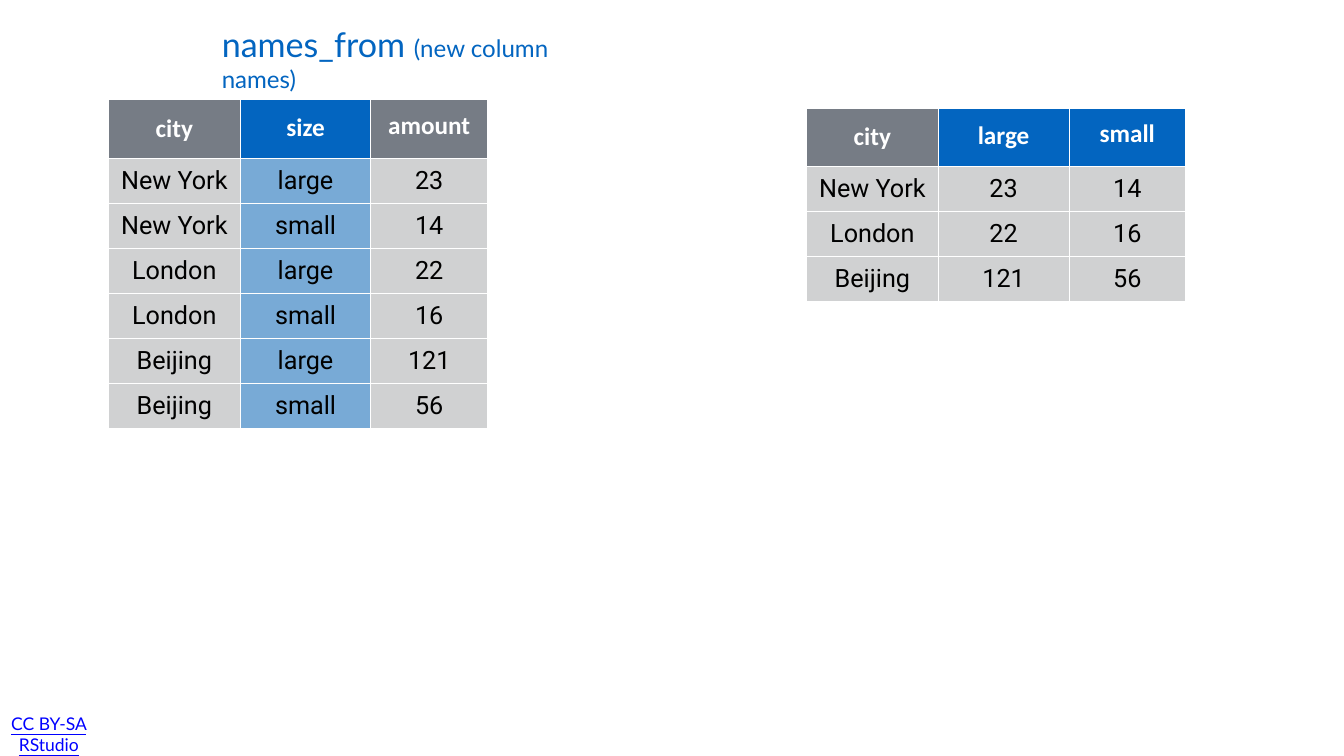
from lxml import etree
from pptx import Presentation
from pptx.dml.color import RGBColor
from pptx.enum.text import MSO_ANCHOR, PP_ALIGN
from pptx.oxml.ns import qn
from pptx.util import Inches, Pt

MIDDLE = MSO_ANCHOR.MIDDLE
CENTER = PP_ALIGN.CENTER
LEFT = PP_ALIGN.LEFT
BLUE, PALE = "0365C0", "78AAD6"
SLATE, GREY = "767C85", "D0D1D2"
WHITE, BLACK, LINK = "FFFFFF", "000000", "0000FF"
color = RGBColor.from_string

deck = Presentation()
deck.slide_width = Inches(26.67)
deck.slide_height = Inches(15)
slide = deck.slides.add_slide(deck.slide_layouts[6])
col = deck.slide_width / 100
row = deck.slide_height / 100


def write(para, text, font="Lato", size=36, ink=BLACK, bold=False,
          under=False, align=CENTER, lead=None):
    para.alignment = align
    if lead:
        para.line_spacing = lead
    run = para.add_run()
    run.text = text
    run.font.name = font
    run.font.size = Pt(size)
    run.font.bold = bold
    run.font.underline = under
    run.font.color.rgb = color(ink)


def frame(x, y, wide, high):
    box = slide.shapes.add_textbox(
        int(x * col), int(y * row), int(wide * col), int(high * row))
    body = box.text_frame
    body.word_wrap = True
    body.vertical_anchor = MIDDLE
    body.margin_left = body.margin_right = Inches(0.08)
    body.margin_top = body.margin_bottom = Inches(0.08)
    return body.paragraphs[0]


write(frame(0.45, 95.07, 6.37, 4), "CC BY-SA RStudio",
      size=25, ink=LINK, under=True)

long = [
    ("city", "size", "amount"),
    ("New York", "large", "23"),
    ("New York", "small", "14"),
    ("London", "large", "22"),
    ("London", "small", "16"),
    ("Beijing", "large", "121"),
    ("Beijing", "small", "56"),
]
wide = [
    ("city", "large", "small"),
    ("New York", "23", "14"),
    ("London", "22", "16"),
    ("Beijing", "121", "56"),
]
widths = [9.82, 9.71, 8.7]
leads = [None, 0.8, 0.6]
head, line = 7.75, 5.95
tables = [
    (8.06, 13.2, long, [SLATE, BLUE, SLATE], [GREY, PALE, GREY]),
    (60, 14.27, wide, [SLATE, BLUE, BLUE], [GREY, GREY, GREY]),
]

for x, y, data, tops, fills in tables:
    high = head + line * (len(data) - 1)
    grid = slide.shapes.add_table(
        len(data), len(widths), int(x * col), int(y * row),
        int(sum(widths) * col), int(high * row)).table
    for c, width in enumerate(widths):
        grid.columns[c].width = int(width * col)
    for r, words in enumerate(data):
        grid.rows[r].height = int((line if r else head) * row)
        for c, word in enumerate(words):
            cell = grid.cell(r, c)
            cell.vertical_anchor = MIDDLE
            cell.margin_left = cell.margin_right = Inches(0.06)
            cell.margin_top = cell.margin_bottom = Inches(0.06)
            cell.fill.solid()
            cell.fill.fore_color.rgb = color(fills[c] if r else tops[c])
            para = cell.text_frame.paragraphs[0]
            if r:
                write(para, word, font="Roboto")
            else:
                write(para, word, font="Calibri", ink=WHITE, bold=True,
                      lead=leads[c])
            props = cell._tc.get_or_add_tcPr()
            for spot, side in enumerate(("lnL", "lnR", "lnT", "lnB")):
                edge = etree.Element(qn("a:" + side), w=str(Pt(1)))
                paint = etree.SubElement(edge, qn("a:solidFill"))
                etree.SubElement(paint, qn("a:srgbClr"), val=WHITE)
                props.insert(spot, edge)

title = frame(16.2, 4.33, 30.86, 6.67)
write(title, "names_from ", size=48.7, ink=BLUE, align=LEFT)
write(title, "(new column names)", size=34.4, ink=BLUE, align=LEFT)

deck.save("out.pptx")
